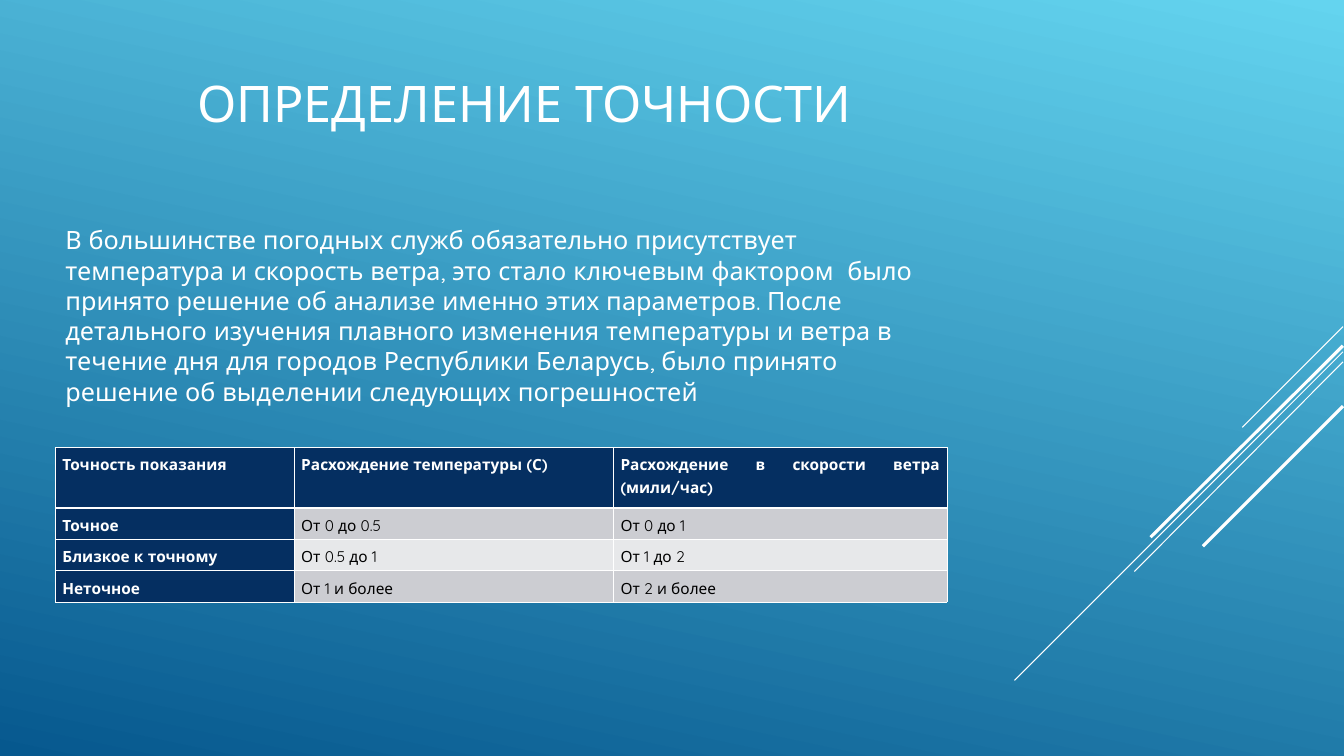
"""Build the slide on accuracy limits for weather readings."""
import pptx
import pptx.dml.color
import pptx.enum.shapes
import pptx.enum.text
import pptx.oxml.ns
import pptx.util
from lxml import etree
from pptx.util import Inches

COLOURS = {
    "sky": "64D4EF",
    "deep": "06588E",
    "white": "FFFFFF",
    "black": "000000",
    "navy": "052F61",
    "grey": "CCCDD2",
    "pale": "E7E8EA",
}
FONT = "Quicksand"
TITLE = "ОПРЕДЕЛЕНИЕ ТОЧНОСТИ"
BODY = (
    "В большинстве погодных служб обязательно присутствует температура и "
    "скорость ветра, это стало ключевым фактором  было принято решение об "
    "анализе именно этих параметров. После детального изучения плавного "
    "изменения температуры и ветра в течение дня для городов Республики "
    "Беларусь, было принято решение об выделении следующих погрешностей"
)
ACCURACY_ROWS = [
    ["Точность показания", "Расхождение температуры (С)",
     "Расхождение в скорости ветра (мили/час)"],
    ["Точное", "От 0 до 0.5", "От 0 до 1"],
    ["Близкое к точному", "От 0.5 до 1", "От 1 до 2"],
    ["Неточное", "От 1 и более", "От 2 и более"],
]
COLUMN_WIDTHS = [2.37, 3.17, 3.31]
ROW_HEIGHTS = [0.6, 0.29, 0.29, 0.29]
DIAGONALS = [
    (13.33, 3.24, 12.33, 4.24, 0.75),
    (13.33, 3.49, 10.07, 6.75, 0.75),
    (13.33, 3.59, 11.26, 5.67, 0.75),
    (13.33, 3.43, 11.42, 5.33, 2.25),
    (13.33, 4.03, 11.94, 5.42, 2.25),
]


def colour(name):
    """Return the named colour."""
    return pptx.dml.color.RGBColor.from_string(COLOURS[name])


def write_text(frame, text, *, size, ink="white", bold=False, align=None, spacing=None):
    """Write one formatted paragraph into a text frame."""
    frame.word_wrap = True
    para = frame.paragraphs[0]
    para.alignment = align
    para.line_spacing = spacing
    span = para.add_run()
    span.text = text
    span.font.name = FONT
    span.font.size = pptx.util.Pt(size)
    span.font.bold = bold
    span.font.color.rgb = colour(ink)


def paint_background(page):
    """Fill the page with the sky gradient."""
    fill = page.background.fill
    fill.gradient()
    fill.gradient_angle = 258
    for stop, position, name in zip(fill.gradient_stops, (0, 1), ("sky", "deep")):
        stop.position = position
        stop.color.rgb = colour(name)


def add_diagonal(page, x1, y1, x2, y2, width):
    """Draw one white decorative line."""
    line = page.shapes.add_connector(
        pptx.enum.shapes.MSO_CONNECTOR.STRAIGHT,
        Inches(x1), Inches(y1), Inches(x2), Inches(y2))
    line.line.color.rgb = colour("white")
    line.line.width = pptx.util.Pt(width)
    etree.SubElement(line._element.spPr, pptx.oxml.ns.qn("a:effectLst"))


def add_text_box(page, left, top, width, height, text, *, size, anchor):
    """Place a text box on the page."""
    box = page.shapes.add_textbox(
        Inches(left), Inches(top), Inches(width), Inches(height))
    box.text_frame.vertical_anchor = anchor
    write_text(box.text_frame, text, size=size)


def set_border(cell, side, width):
    """Give one side of a cell a white border."""
    qn = pptx.oxml.ns.qn
    properties = cell._tc.get_or_add_tcPr()
    line = etree.SubElement(properties, qn(f"a:ln{side}"), w=str(pptx.util.Pt(width)))
    fill = etree.SubElement(line, qn("a:solidFill"))
    etree.SubElement(fill, qn("a:srgbClr"), val=COLOURS["white"])


def format_cell(cell, text, row, column):
    """Write and colour one cell by its place in the table."""
    heading = row == 0 or column == 0
    cell.margin_left = cell.margin_right = Inches(0.07)
    cell.margin_top = cell.margin_bottom = Inches(0.05)
    write_text(cell.text_frame, text, size=11, bold=heading,
               ink="white" if heading else "black",
               align=pptx.enum.text.PP_ALIGN.JUSTIFY, spacing=1.15)
    heavy_side = {0: "B", 1: "T"}.get(row)
    for side in "LRTB":
        set_border(cell, side, 1.47 if side == heavy_side else 0.45)
    cell.fill.solid()
    band = "grey" if row % 2 else "pale"
    cell.fill.fore_color.rgb = colour("navy" if heading else band)


def add_accuracy_table(page):
    """Add the table of accuracy limits."""
    table = page.shapes.add_table(
        len(ROW_HEIGHTS), len(COLUMN_WIDTHS), Inches(0.55), Inches(4.44),
        Inches(sum(COLUMN_WIDTHS)), Inches(sum(ROW_HEIGHTS))).table
    table.first_col = True
    for column, width in zip(table.columns, COLUMN_WIDTHS):
        column.width = Inches(width)
    for row, height in zip(table.rows, ROW_HEIGHTS):
        row.height = Inches(height)
    for row, texts in enumerate(ACCURACY_ROWS):
        for column, text in enumerate(texts):
            format_cell(table.cell(row, column), text, row, column)


def main():
    """Build and save the deck."""
    deck = pptx.Presentation()
    deck.slide_width = Inches(13.34)
    deck.slide_height = Inches(7.5)
    page = deck.slides.add_slide(deck.slide_layouts[6])
    paint_background(page)
    for diagonal in DIAGONALS:
        add_diagonal(page, *diagonal)
    anchors = pptx.enum.text.MSO_ANCHOR
    add_text_box(page, 1.86, 0.19, 9.33, 1.65, TITLE, size=36, anchor=anchors.MIDDLE)
    add_accuracy_table(page)
    add_text_box(page, 0.55, 2.18, 8.85, 1.9, BODY, size=18, anchor=anchors.TOP)
    deck.save("out.pptx")


if __name__ == "__main__":
    main()
